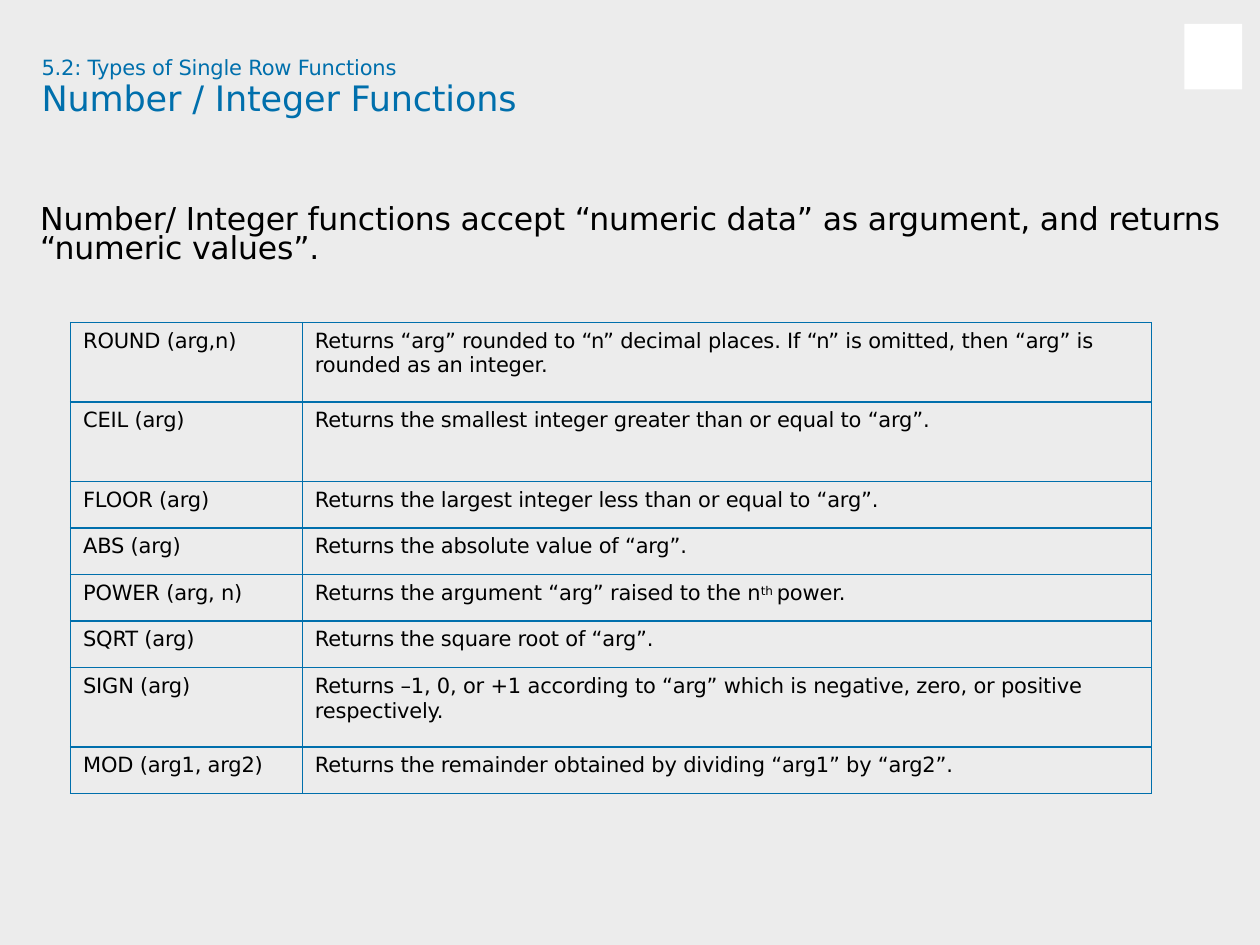
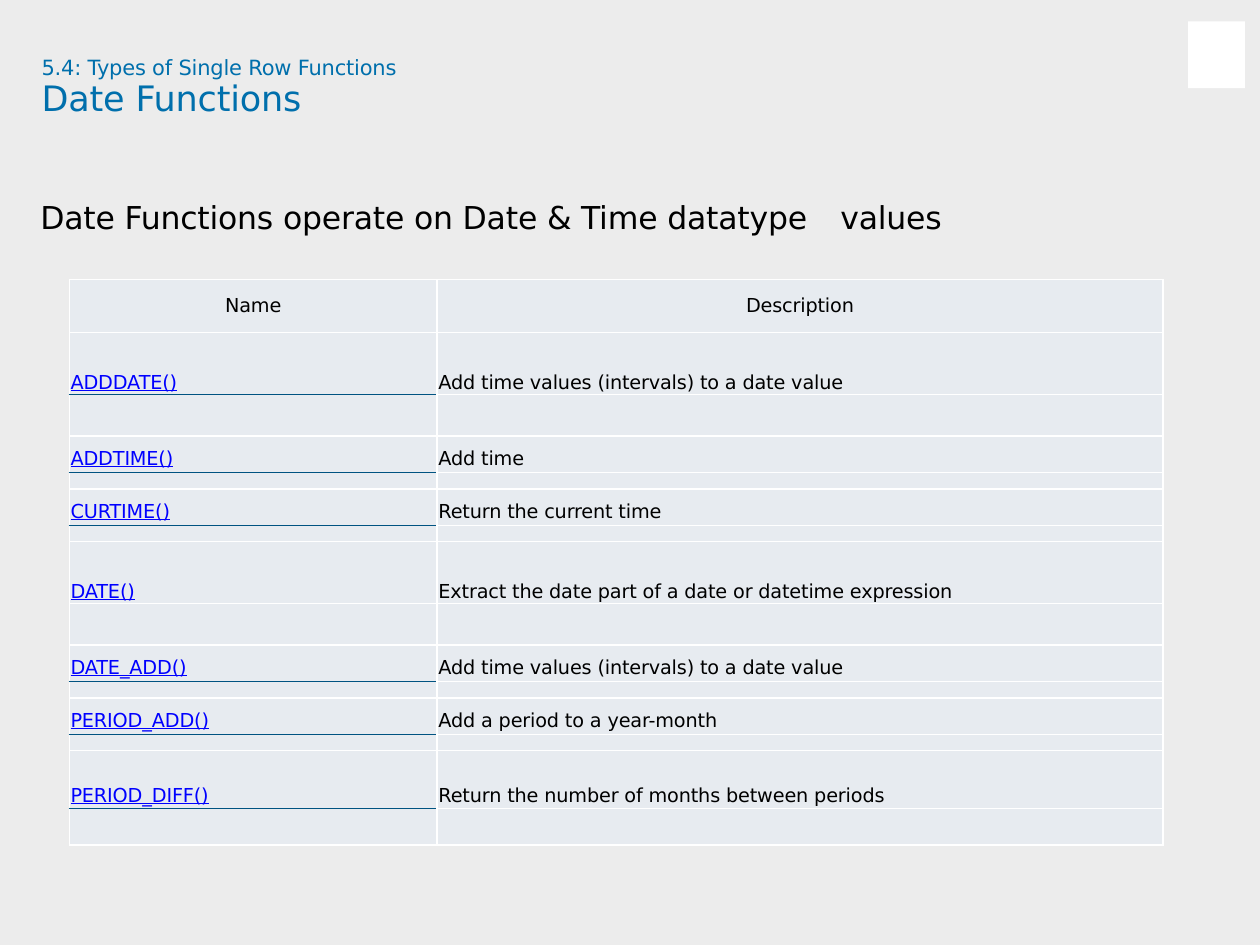
from lxml.etree import SubElement
from pptx import Presentation
from pptx.dml.color import RGBColor
from pptx.enum.shapes import MSO_SHAPE
from pptx.enum.text import MSO_ANCHOR, PP_ALIGN
from pptx.oxml.ns import qn
from pptx.util import Inches, Pt

COLORS = {
    "back": "ECECEC",
    "white": "FFFFFF",
    "accent": "006FAC",
    "text": "000000",
    "link": "0000FF",
    "rule": "005381",
    "cell": "E7EBF0",
}
FONT = "DejaVu Sans"
TITLE_ONLY = 5

NUMBER_FUNCTIONS = [
    ("ROUND (arg,n)", "Returns “arg” rounded to “n” decimal places. If “n” is omitted, then “arg” is\n"
                      "rounded as an integer.", 0.63),
    ("CEIL (arg)", "Returns the smallest integer greater than or equal to “arg”.", 0.63),
    ("FLOOR (arg)", "Returns the largest integer less than or equal to “arg”.", 0.37),
    ("ABS (arg)", "Returns the absolute value of “arg”.", 0.37),
    ("POWER (arg, n)", "Returns the argument “arg” raised to the n^th ^power.", 0.37),
    ("SQRT (arg)", "Returns the square root of “arg”.", 0.37),
    ("SIGN (arg)", "Returns –1, 0, or +1 according to “arg” which is negative, zero, or positive\n"
                   "respectively.", 0.63),
    ("MOD (arg1, arg2)", "Returns the remainder obtained by dividing “arg1” by “arg2”.", 0.37),
]

ROW_SIZES = {
    "tall": {"height": 0.49, "gap": 0.33, "top": 0.33},
    "short": {"height": 0.29, "gap": 0.13, "top": 0.12},
    "last": {"height": 0.46, "gap": 0.29, "top": 0.29},
}
DATE_FUNCTIONS = [
    ("ADDDATE()", "Add time values (intervals) to a date value", "tall", "rule"),
    ("ADDTIME()", "Add time", "short", "rule"),
    ("CURTIME()", "Return the current time", "short", "rule"),
    ("DATE()", "Extract the date part of a date or datetime expression", "tall", "white"),
    ("DATE_ADD()", "Add time values (intervals) to a date value", "short", "rule"),
    ("PERIOD_ADD()", "Add a period to a year-month", "short", "rule"),
    ("PERIOD_DIFF()", "Return the number of months between periods", "last", "rule"),
]


def rgb(name):
    return RGBColor.from_string(COLORS[name])


def apply(target, values):
    for name, value in values.items():
        setattr(target, name, value)


class DeckBuilder:
    def __init__(self):
        self.deck = Presentation()
        apply(self.deck, {"slide_width": Inches(10), "slide_height": Inches(7.5)})
        fill = self.deck.slide_master.background.fill
        fill.solid()
        fill.fore_color.rgb = rgb("back")
        self.page = None

    def start_page(self, section, title, title_width, corner):
        self.page = self.deck.slides.add_slide(self.deck.slide_layouts[TITLE_ONLY])
        self.corner_block(*corner)
        self.text(section, 0.32, 0.42, 3.02, 0.23, 12, "accent")
        self.title(title, title_width)

    def corner_block(self, left, top, width, height):
        block = self.page.shapes.add_shape(
            MSO_SHAPE.RECTANGLE, Inches(left), Inches(top), Inches(width), Inches(height))
        block.shadow.inherit = False
        block.fill.solid()
        block.fill.fore_color.rgb = rgb("white")
        block.line.fill.background()

    def title(self, words, width):
        box = self.page.shapes.title
        apply(box, {"left": Inches(0.32), "top": Inches(0.59),
                    "width": Inches(width), "height": Inches(0.36)})
        self.fill_frame(box.text_frame, words, 20, "accent", 0.02)

    def text(self, words, left, top, width, height, size, color, inset=0.01, spacing=1.0):
        box = self.page.shapes.add_textbox(
            Inches(left), Inches(top), Inches(width), Inches(height))
        self.fill_frame(box.text_frame, words, size, color, inset, spacing)

    def fill_frame(self, frame, words, size, color, inset, spacing=1.0):
        apply(frame, {"margin_left": Inches(0.01), "margin_top": Inches(inset),
                      "margin_right": 0, "margin_bottom": 0,
                      "word_wrap": True, "vertical_anchor": MSO_ANCHOR.TOP})
        self.set_words(frame, words, size, color, line_spacing=spacing)

    def set_words(self, frame, words, size, color, underline=False, **para_format):
        for index, line in enumerate(words.split("\n")):
            para = frame.add_paragraph() if index else frame.paragraphs[0]
            apply(para, {"alignment": PP_ALIGN.LEFT, **para_format})
            for position, part in enumerate(line.split("^")):
                span = para.add_run()
                span.text = part
                apply(span.font, {"name": FONT, "size": Pt(size),
                                  "bold": False, "underline": underline})
                span.font.color.rgb = rgb(color)
                properties = span._r.get_or_add_rPr()
                properties.set("spc", "-10")
                if position % 2:
                    properties.set("baseline", "24000")

    def table(self, left, top, widths, heights):
        frame = self.page.shapes.add_table(
            len(heights), len(widths), Inches(left), Inches(top),
            Inches(sum(widths)), Inches(sum(heights)))
        grid = frame.table
        apply(grid, {"first_row": False, "horz_banding": False})
        for column, width in zip(grid.columns, widths):
            column.width = Inches(width)
        for row, height in zip(grid.rows, heights):
            row.height = Inches(height)
        return grid

    def cell(self, cell, fill, borders, left=0.01, top=0.0):
        apply(cell, {"margin_left": Inches(left), "margin_top": Inches(top),
                     "margin_right": 0, "margin_bottom": 0,
                     "vertical_anchor": MSO_ANCHOR.TOP})
        properties = cell._tc.get_or_add_tcPr()
        for side, color in zip("LRTB", borders):
            width = Pt(0.75) if color == "rule" else Pt(1)
            line = SubElement(properties, qn(f"a:ln{side}"), w=str(int(width)))
            solid = SubElement(line, qn("a:solidFill"))
            SubElement(solid, qn("a:srgbClr"), val=COLORS[color])
        cell.fill.solid()
        cell.fill.fore_color.rgb = rgb(fill)

    def empty_cell(self, cell, borders):
        self.cell(cell, "cell", borders)
        SubElement(cell.text_frame.paragraphs[0]._p, qn("a:endParaRPr"), sz="600")

    def number_table(self):
        heights = [height for _, _, height in NUMBER_FUNCTIONS]
        grid = self.table(0.56, 2.56, [1.84, 6.74], heights)
        for row, (name, meaning, _) in enumerate(NUMBER_FUNCTIONS):
            for column, words in enumerate((name, meaning)):
                cell = grid.cell(row, column)
                self.cell(cell, "back", ["accent"] * 4, left=0.1, top=0.05)
                self.set_words(cell.text_frame, words, 12, "text")

    def date_table(self):
        heights = [0.42]
        for _, _, kind, _ in DATE_FUNCTIONS:
            heights += [ROW_SIZES[kind]["height"], ROW_SIZES[kind]["gap"]]
        grid = self.table(0.55, 2.22, [2.92, 5.76], heights)
        for column, words in enumerate(("Name", "Description")):
            cell = grid.cell(0, column)
            self.cell(cell, "cell", ["white"] * 4, left=0, top=0.12)
            self.set_words(cell.text_frame, words, 11, "text", alignment=PP_ALIGN.CENTER)
        for index, (name, meaning, kind, rule) in enumerate(DATE_FUNCTIONS):
            row = 1 + 2 * index
            columns = ((name, "link", rule), (meaning, "text", "white"))
            for column, (words, color, edge) in enumerate(columns):
                cell = grid.cell(row, column)
                self.cell(cell, "cell", ["white", "white", "white", edge],
                          top=ROW_SIZES[kind]["top"])
                self.set_words(cell.text_frame, words, 11, color,
                               underline=color == "link", line_spacing=Pt(11.2))
                self.empty_cell(grid.cell(row + 1, column),
                                ["white", "white", edge, "white"])


def main():
    builder = DeckBuilder()

    builder.start_page("5.2: Types of Single Row Functions", "Number / Integer Functions",
                       3.91, (9.4, 0.19, 0.46, 0.52))
    builder.text("Number/ Integer functions accept “numeric data” as argument, and returns "
                 "“numeric values”.", 0.31, 1.56, 9.57, 0.56, 18, "text",
                 inset=0.08, spacing=0.78)
    builder.number_table()

    builder.start_page("5.4: Types of Single Row Functions", "Date Functions",
                       2.11, (9.43, 0.17, 0.45, 0.53))
    builder.text("Date Functions operate on Date & Time datatype",
                 0.31, 1.56, 6.19, 0.33, 18, "text")
    builder.text("values", 6.66, 1.56, 0.85, 0.33, 18, "text")
    builder.date_table()

    builder.deck.save("out.pptx")


if __name__ == "__main__":
    main()
